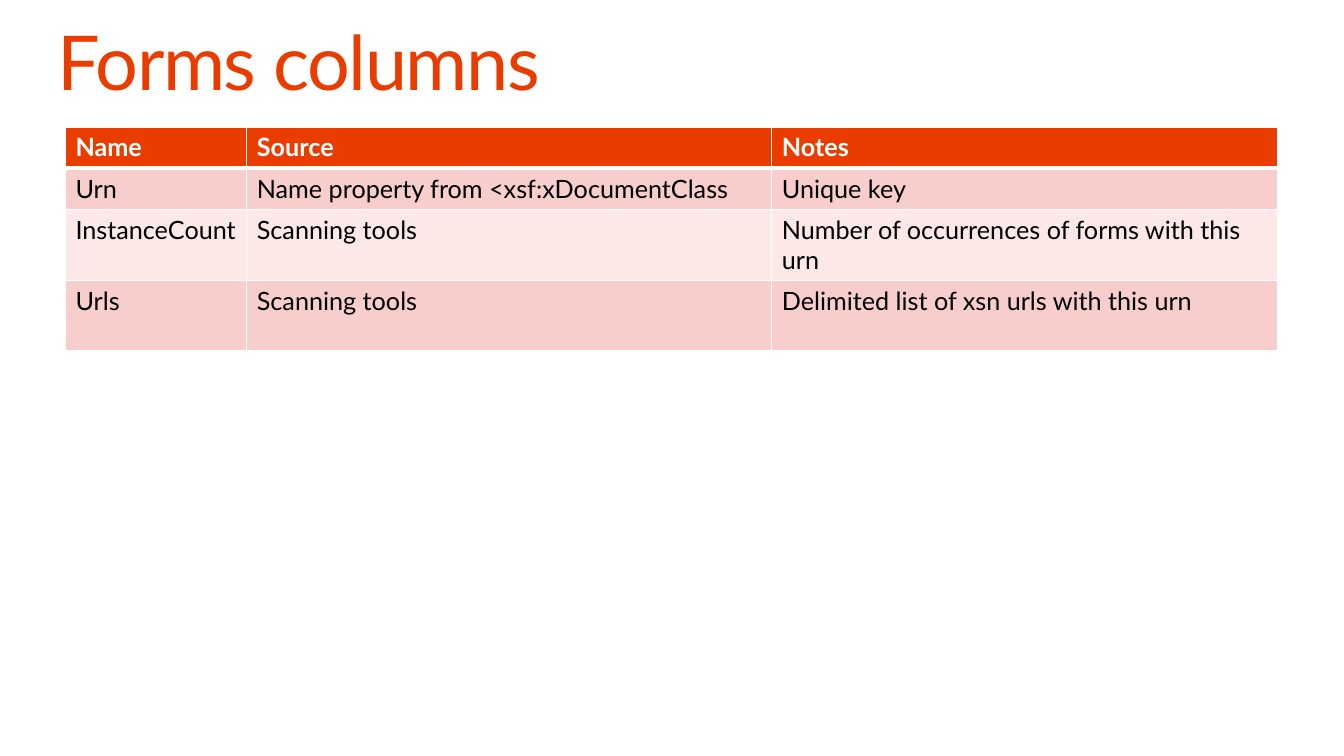
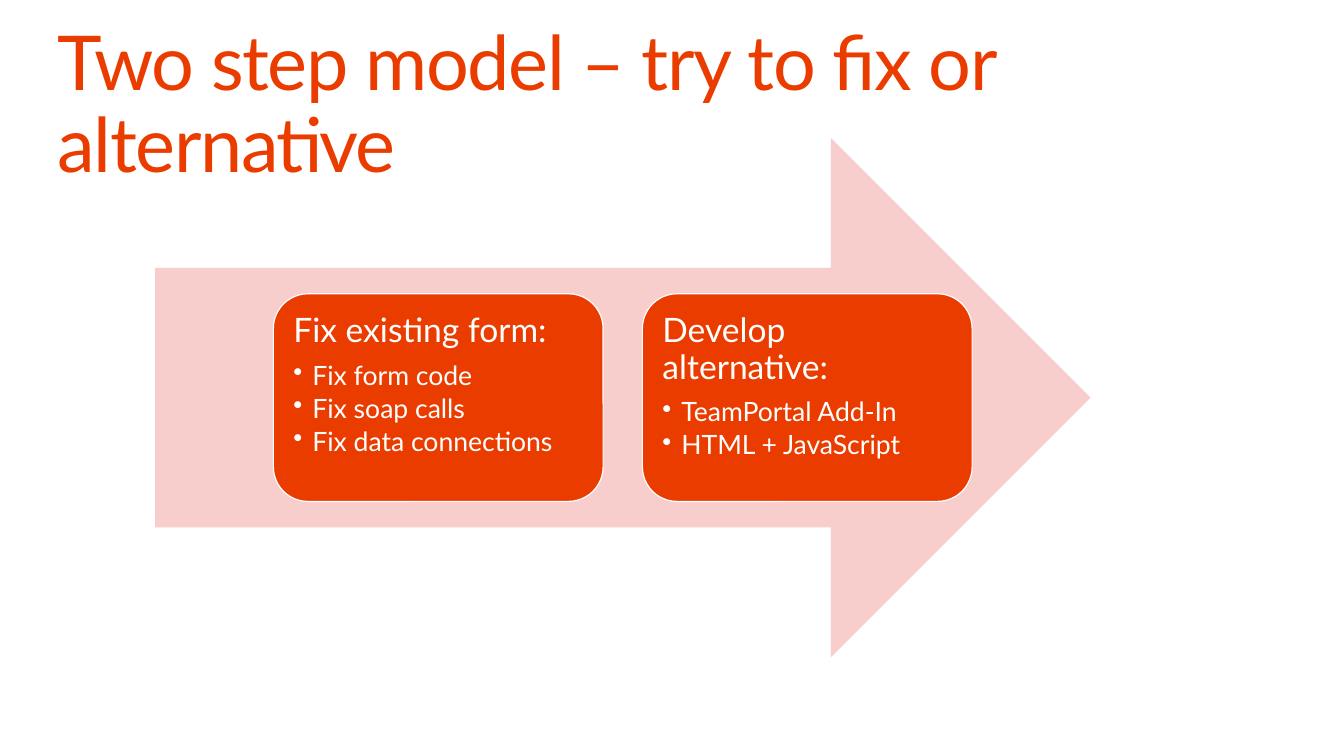
from dataclasses import dataclass

from lxml import etree
from pptx import Presentation
from pptx import util as u
from pptx.dml.color import RGBColor
from pptx.enum import shapes, text
from pptx.oxml import ns


@dataclass(frozen=True)
class Theme:
    """Colours, font and type sizes shared by the slides."""
    font: str = "Lato"
    accent: RGBColor = RGBColor(0xEB, 0x3C, 0x00)
    tint: RGBColor = RGBColor(0xF7, 0xCE, 0xCC)
    pale: RGBColor = RGBColor(0xFB, 0xE8, 0xE7)
    white: RGBColor = RGBColor(0xFF, 0xFF, 0xFF)
    black: RGBColor = RGBColor(0, 0, 0)
    title: int = 54
    heading: int = 24
    bullet: int = 19
    cell: int = 18
    leading: float = 0.9


@dataclass(frozen=True)
class Box:
    """A rectangle in centimetres."""
    left: float
    top: float
    width: float
    height: float

    def lengths(self):
        """Return the rectangle as slide lengths."""
        return [u.Cm(value) for value in (self.left, self.top, self.width, self.height)]


THEME = Theme()
TITLE_BOX = Box(1.45, 0.64, 30.96, 2.08)
TABLE_BOX = Box(1.65, 3.2, 30.55, 5.64)
ARROW_BOX = Box(3.91, 3.48, 23.57, 13.08)

COLUMN_WIDTHS = (4.57, 13.23, 12.75)
ROW_HEIGHTS = (1.04, 1.04, 1.78, 1.78)
FORM_COLUMNS = (
    ("Name", "Source", "Notes"),
    ("Urn", "Name property from <xsf:xDocumentClass", "Unique key"),
    ("InstanceCount", "Scanning tools", "Number of occurrences of forms with this urn"),
    ("Urls", "Scanning tools", "Delimited list of xsn urls with this urn"),
)
STEPS = (
    ("Fix existing form:", ("Fix form code", "Fix soap calls", "Fix data connections")),
    ("Develop alternative:", ("TeamPortal Add-In", "HTML + JavaScript")),
)


def set_font(paragraph, size, color, bold=False):
    """Set the font of a whole paragraph."""
    font = paragraph.font
    font.name, font.size, font.bold = THEME.font, u.Pt(size), bold
    font.color.rgb = color


def set_margins(frame, margin):
    """Give a text frame wrapping, top anchoring and equal margins."""
    frame.word_wrap = True
    frame.vertical_anchor = text.MSO_ANCHOR.TOP
    frame.margin_left = frame.margin_right = u.Cm(margin)
    frame.margin_top = frame.margin_bottom = u.Cm(margin)


def add_title(slide, box, title):
    """Place the slide title."""
    frame = slide.shapes.add_textbox(*box.lengths()).text_frame
    set_margins(frame, 0)
    paragraph = frame.paragraphs[0]
    paragraph.text = title
    paragraph.line_spacing = THEME.leading
    set_font(paragraph, THEME.title, THEME.accent)
    for run in paragraph.runs:
        run.font._element.set("spc", "-100")


def add_border(cell, side, points):
    """Draw a white border on one side of a table cell."""
    properties = cell._tc.get_or_add_tcPr()
    line = etree.SubElement(properties, ns.qn(f"a:ln{side}"), w=str(u.Pt(points)))
    fill = etree.SubElement(line, ns.qn("a:solidFill"))
    etree.SubElement(fill, ns.qn("a:srgbClr"), val=str(THEME.white))


def style_cell(cell, row):
    """Style a cell as header or as part of a banded body row."""
    header = row == 0
    for side in "LRTB":
        thick = (row, side) in ((0, "B"), (1, "T"))
        add_border(cell, side, 3 if thick else 1)
    cell.fill.solid()
    cell.fill.fore_color.rgb = THEME.accent if header else (THEME.pale, THEME.tint)[row % 2]
    color = THEME.white if header else THEME.black
    set_font(cell.text_frame.paragraphs[0], THEME.cell, color, header)


def add_columns_table(slide, box, rows):
    """Place the banded table of form columns."""
    table = slide.shapes.add_table(len(rows), len(rows[0]), *box.lengths()).table
    for column, width in zip(table.columns, COLUMN_WIDTHS):
        column.width = u.Cm(width)
    for row, height in zip(table.rows, ROW_HEIGHTS):
        row.height = u.Cm(height)
    for row, values in enumerate(rows):
        for column, value in enumerate(values):
            cell = table.cell(row, column)
            cell.text = value
            style_cell(cell, row)


def add_filled_shape(slide, kind, box, color):
    """Place a flat preset shape without an outline."""
    shape = slide.shapes.add_shape(kind, *box.lengths())
    shape.shadow.inherit = False
    shape.fill.solid()
    shape.fill.fore_color.rgb = color
    shape.line.fill.background()
    return shape


def add_bullet(paragraph, indent):
    """Give a paragraph a hanging round bullet."""
    properties = paragraph._p.get_or_add_pPr()
    properties.set("marL", str(u.Cm(indent)))
    properties.set("indent", str(-u.Cm(indent)))
    etree.SubElement(properties, ns.qn("a:buChar"), char="•")


def add_step_card(slide, box, heading, bullets):
    """Place a rounded card with a heading and bullets."""
    card = add_filled_shape(slide, shapes.MSO_SHAPE.ROUNDED_RECTANGLE, box, THEME.accent)
    card.line.color.rgb = THEME.white
    card.line.width = u.Pt(0.85)
    frame = card.text_frame
    set_margins(frame, 0.25)
    for index, line in enumerate((heading, *bullets)):
        paragraph = frame.add_paragraph() if index else frame.paragraphs[0]
        paragraph.text = line
        paragraph.alignment = text.PP_ALIGN.LEFT
        paragraph.line_spacing = THEME.leading
        paragraph.space_after = u.Pt(3 if index else 9)
        set_font(paragraph, THEME.bullet if index else THEME.heading, THEME.white)
        if index:
            add_bullet(paragraph, 0.48)


def add_step_arrow(slide, box, steps):
    """Place the arrow with its step cards centred on it."""
    add_filled_shape(slide, shapes.MSO_SHAPE.RIGHT_ARROW, box, THEME.tint)
    width, gap, height = 8.31, 0.99, box.height * 0.4
    total = len(steps) * (width + gap) - gap
    left = box.left + (box.width - total) / 2
    top = box.top + (box.height - height) / 2
    for index, (heading, bullets) in enumerate(steps):
        card_box = Box(left + index * (width + gap), top, width, height)
        add_step_card(slide, card_box, heading, bullets)


def add_slide(presentation, title):
    """Add a blank white slide with its title."""
    slide = presentation.slides.add_slide(presentation.slide_layouts[6])
    slide.background.fill.solid()
    slide.background.fill.fore_color.rgb = THEME.white
    add_title(slide, TITLE_BOX, title)
    return slide


def main():
    """Build and save the presentation."""
    presentation = Presentation()
    presentation.slide_width, presentation.slide_height = u.Cm(33.87), u.Cm(19.05)
    add_columns_table(add_slide(presentation, "Forms columns"), TABLE_BOX, FORM_COLUMNS)
    model = add_slide(presentation, "Two step model – try to fix or alternative")
    add_step_arrow(model, ARROW_BOX, STEPS)
    presentation.save("out.pptx")


if __name__ == "__main__":
    main()
